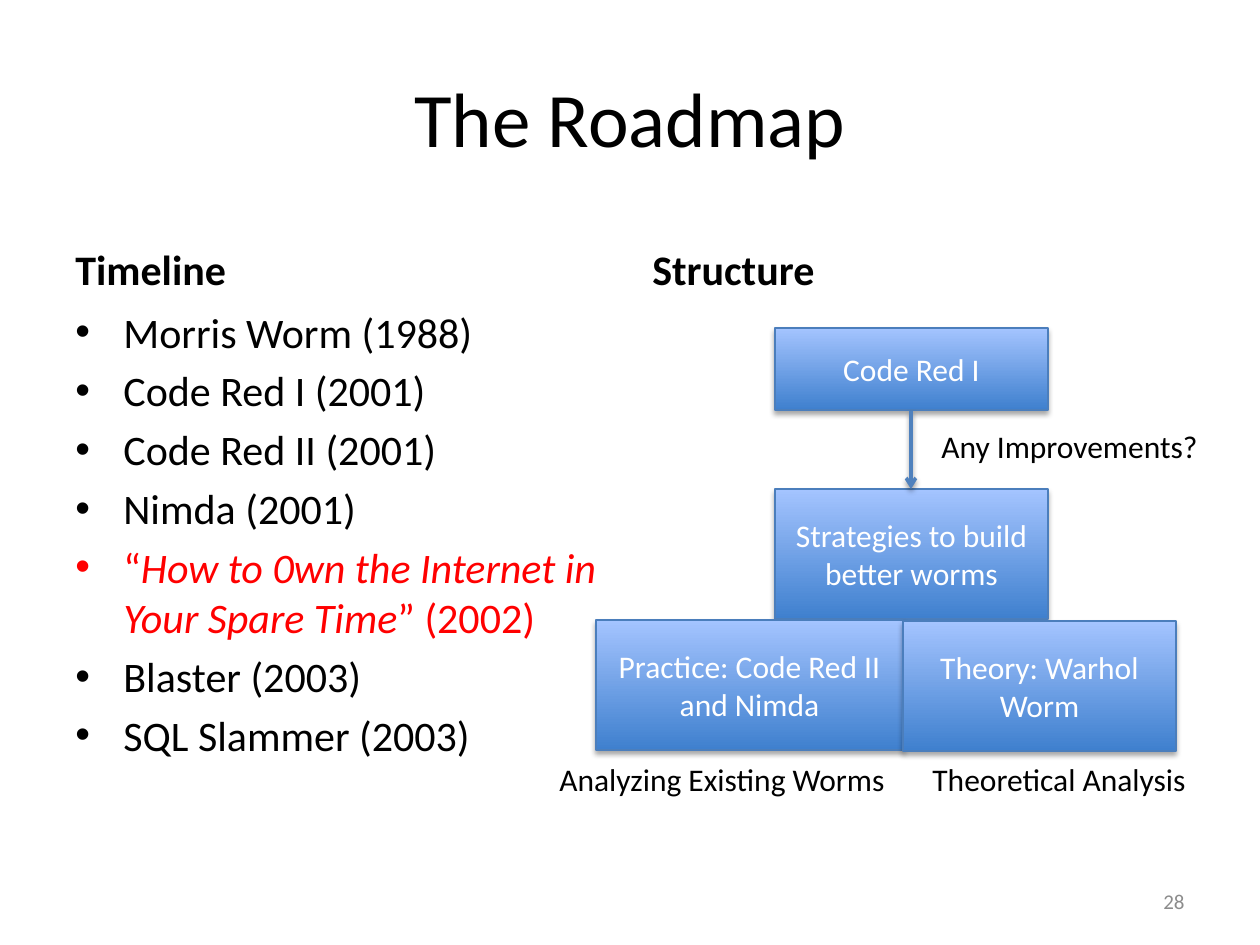
from lxml import etree
from pptx import Presentation
from pptx.dml.color import RGBColor
from pptx.enum.shapes import MSO_CONNECTOR, MSO_SHAPE
from pptx.enum.text import MSO_ANCHOR, PP_ALIGN
from pptx.oxml.ns import qn
from pptx.util import Emu, Pt

SCALE = 914400 / 126
RECTANGLE = MSO_SHAPE.RECTANGLE
STRAIGHT = MSO_CONNECTOR.STRAIGHT
TOP, MIDDLE, BOTTOM = MSO_ANCHOR.TOP, MSO_ANCHOR.MIDDLE, MSO_ANCHOR.BOTTOM
LEFT, CENTER, RIGHT = PP_ALIGN.LEFT, PP_ALIGN.CENTER, PP_ALIGN.RIGHT
BLACK = RGBColor(0x00, 0x00, 0x00)
WHITE = RGBColor(0xFF, 0xFF, 0xFF)
RED = RGBColor(0xFF, 0x00, 0x00)
GRAY = RGBColor(0x8C, 0x8C, 0x8C)
DARK_BLUE = RGBColor(0x3F, 0x80, 0xCE)
LIGHT_BLUE = RGBColor(0xA4, 0xC4, 0xFF)
BORDER_BLUE = RGBColor(0x4B, 0x7E, 0xBC)
ARROW_BLUE = RGBColor(0x4F, 0x81, 0xBD)

TIMELINE = [
    "Morris Worm (1988)",
    "Code Red I (2001)",
    "Code Red II (2001)",
    "Nimda (2001)",
    ["“", "How to 0wn the Internet in Your Spare Time", "” (2002)"],
    "Blaster (2003)",
    "SQL Slammer (2003)",
]


def px(length):
    """Turn pixels into EMU."""
    return Emu(round(length * SCALE))


def add_span(para, text, size=18, color=BLACK, bold=False, italic=False):
    """Add one formatted run of text to a paragraph."""
    span = para.add_run()
    span.text = text
    font = span.font
    font.name, font.size, font.color.rgb = "Calibri", Pt(size), color
    font.bold, font.italic = bold, italic


def add_text(page, left, top, width, height, text, align=LEFT, anchor=TOP, wrap=True, **style):
    """Add a text box with one paragraph."""
    frame = page.shapes.add_textbox(px(left), px(top), px(width), px(height)).text_frame
    frame.word_wrap, frame.vertical_anchor = wrap, anchor
    para = frame.paragraphs[0]
    para.alignment = align
    add_span(para, text, **style)


def add_shadow(shape, opacity, distance):
    """Give a shape a soft shadow that falls straight down."""
    effects = etree.SubElement(shape._element.spPr, qn("a:effectLst"))
    shadow = etree.SubElement(effects, qn("a:outerShdw"), blurRad=str(Pt(3.1)),
                              dist=str(Pt(distance)), dir="5400000", rotWithShape="0")
    color = etree.SubElement(shadow, qn("a:srgbClr"), val=str(BLACK))
    etree.SubElement(color, qn("a:alpha"), val=str(opacity * 1000))


def add_block(page, left, top, width, height, text):
    """Add a gradient block with a centred label."""
    block = page.shapes.add_shape(RECTANGLE, px(left), px(top), px(width), px(height))
    block.fill.gradient()
    block.fill.gradient_angle = 90
    for stop, color in zip(block.fill.gradient_stops, (DARK_BLUE, LIGHT_BLUE)):
        stop.color.rgb = color
    block.line.color.rgb, block.line.width = BORDER_BLUE, Pt(0.75)
    add_shadow(block, 35, 1.8)
    frame = block.text_frame
    frame.word_wrap, frame.vertical_anchor = True, MIDDLE
    frame.paragraphs[0].alignment = CENTER
    add_span(frame.paragraphs[0], text, color=WHITE)


def add_arrow(page, x, top, bottom):
    """Add an arrow pointing down."""
    arrow = page.shapes.add_connector(STRAIGHT, px(x), px(top), px(x), px(bottom))
    arrow.line.color.rgb, arrow.line.width = ARROW_BLUE, Pt(2)
    etree.SubElement(arrow.line._get_or_add_ln(), qn("a:tailEnd"), type="arrow")
    add_shadow(arrow, 38, 1.6)


def add_bullet(para):
    """Give a paragraph a hanging bullet."""
    properties = para._p.get_or_add_pPr()
    properties.set("marL", str(px(48)))
    properties.set("indent", str(-px(48)))
    etree.SubElement(properties, qn("a:buFont"), typeface="Arial")
    etree.SubElement(properties, qn("a:buChar"), char="•")


def add_heading(page, left, top, width, text):
    """Add the bold heading of a column."""
    add_text(page, left, top, width, 88, text, anchor=BOTTOM, size=24, bold=True)


def add_timeline(page, left, top, width, height):
    """Add the timeline column with its bullet list."""
    add_heading(page, left, top, width, "Timeline")
    box = page.shapes.add_textbox(px(left), px(top + 88), px(width), px(height - 88))
    frame = box.text_frame
    frame.word_wrap = True
    for index, item in enumerate(TIMELINE):
        para = frame.add_paragraph() if index else frame.paragraphs[0]
        add_bullet(para)
        para.space_before = Pt(4.8 if index else 0)
        if isinstance(item, str):
            add_span(para, item, size=24)
        else:
            for position, text in enumerate(item):
                add_span(para, text, size=24, color=RED, italic=position == 1)


def add_structure(page, left, top, width):
    """Add the structure column with its diagram."""
    add_heading(page, left, top, width, "Structure")
    add_block(page, left + 135, top + 116, 273, 82, "Code Red I")
    add_block(page, left + 135, top + 277, 273, 130, "Strategies to build better worms")
    add_block(page, left - 44, top + 408, 307, 130, "Practice: Code Red II and Nimda")
    add_block(page, left + 263, top + 409, 273, 130, "Theory: Warhol Worm")
    add_arrow(page, left + 271, top + 199, top + 277)
    for x, y, label_width, text in (
        (289, 209, 286, "Any Improvements?"),
        (-93, 542, 355, "Analyzing Existing Worms"),
        (280, 542, 282, "Theoretical Analysis"),
    ):
        add_text(page, left + x, top + y, label_width, 50, text, wrap=False)


def main():
    """Build the roadmap slide."""
    deck = Presentation()
    deck.slide_width, deck.slide_height = px(1260), px(945)
    page = deck.slides.add_slide(deck.slide_layouts[6])
    add_text(page, 63, 38, 1134, 158, "The Roadmap", align=CENTER, anchor=MIDDLE, size=44)
    add_timeline(page, 63, 212, 557, 632)
    add_structure(page, 640, 212, 557)
    add_text(page, 903, 876, 294, 50, "28", align=RIGHT, anchor=MIDDLE, size=12, color=GRAY)
    deck.save("out.pptx")


if __name__ == "__main__":
    main()
